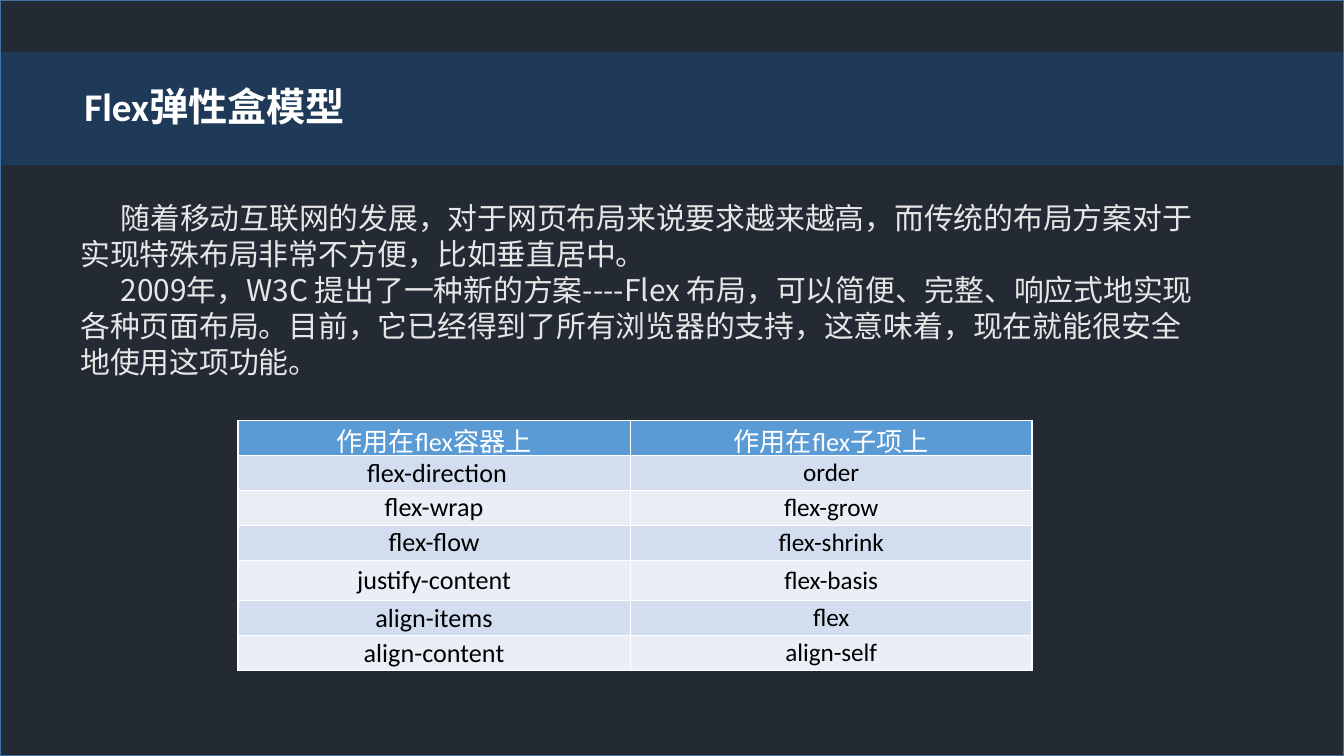
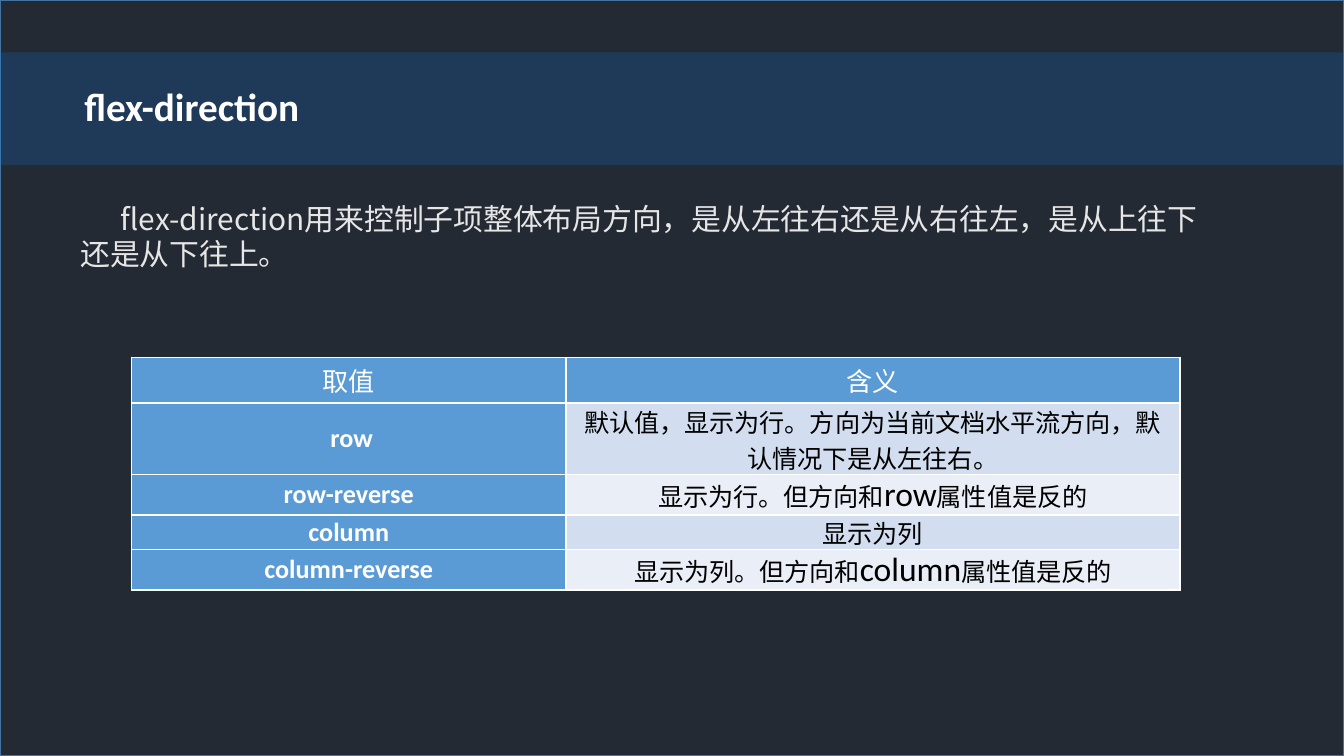
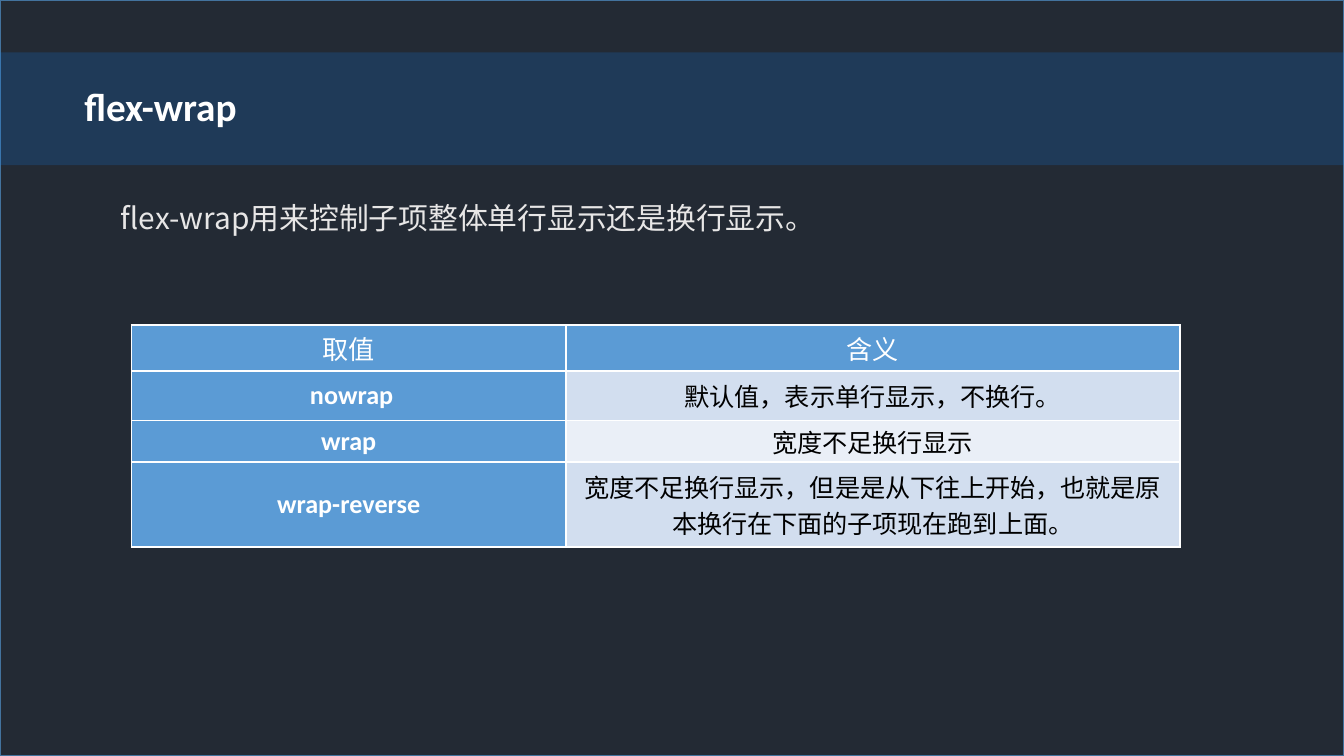
from lxml import etree
from pptx import Presentation
from pptx import util as u
from pptx.dml.color import RGBColor
from pptx.enum import shapes, text
from pptx.oxml import ns

# Content: "|" in a cell sets off a larger word
SLIDES = [
    dict(
        title="Flex弹性盒模型",
        body=[
            "随着移动互联网的发展，对于网页布局来说要求越来越高，而传统的布局方案对于实现特殊布局非常不方便，比如垂直居中。",
            "2009年，W3C 提出了一种新的方案----Flex 布局，可以简便、完整、响应式地实现各种页面布局。目前，它已经得到了所有浏览器的支持，这意味着，现在就能很安全地使用这项功能。",
        ],
        body_height=2.46,
        table_at=(1.77, 3.13),
        cols=[2.92, 2.99],
        heights=[0.26, 0.26, 0.26, 0.26, 0.3, 0.26, 0.26],
        key_column=False,
        rows=[
            ("作用在flex容器上", "作用在flex子项上"),
            (" flex-direction", "order"),
            ("flex-wrap", "flex-grow"),
            ("flex-flow", "flex-shrink"),
            ("justify-content", "flex-basis"),
            ("align-items", "flex"),
            ("align-content", "align-self"),
        ],
    ),
    dict(
        title="flex-direction",
        body=["flex-direction用来控制子项整体布局方向，是从左往右还是从右往左，是从上往下还是从下往上。"],
        body_height=1.31,
        table_at=(0.98, 2.66),
        cols=[3.23, 4.57],
        heights=[0.34, 0.53, 0.26, 0.26, 0.29],
        key_column=True,
        rows=[
            ("取值", "含义"),
            (" row", "默认值，显示为行。方向为当前文档水平流方向，默认情况下是从左往右。"),
            ("row-reverse", "显示为行。但方向和|row|属性值是反的"),
            ("column", "显示为列"),
            ("column-reverse", "显示为列。但方向和|column|属性值是反的"),
        ],
    ),
    dict(
        title="flex-wrap",
        body=["flex-wrap用来控制子项整体单行显示还是换行显示。"],
        body_height=1.04,
        table_at=(0.98, 2.42),
        cols=[3.23, 4.57],
        heights=[0.34, 0.37, 0.31, 0.63],
        key_column=True,
        rows=[
            ("取值", "含义"),
            (" nowrap", "默认值，表示单行显示，不换行。"),
            ("wrap", "宽度不足换行显示"),
            ("wrap-reverse", "宽度不足换行显示，但是是从下往上开始，也就是原本换行在下面的子项现在跑到上面。"),
        ],
    ),
]

# Shared style
WIDTH = 10
HEIGHT = WIDTH * 9 / 16
DARK, EDGE, BAND = "232A34", "43739E", "137EEC"
WHITE, BLACK, PALE = "FFFFFF", "000000", "E7E6E6"
HEAD, STRIPES = "5B9BD5", ("D2DEEF", "EAEFF7")
LATIN, CJK = "Calibri", "Noto Sans CJK SC"


def color(hex_value):
    return RGBColor.from_string(hex_value)


def add_run(p, content, size, fill, font=LATIN, bold=False):
    r = p.add_run()
    r.text = content
    r.font.size, r.font.bold, r.font.name = u.Pt(size), bold, font
    r.font.color.rgb = color(fill)
    etree.SubElement(r.font._element, ns.qn("a:ea"), typeface=CJK)


def add_text(s, box, paragraphs, indent=0, **style):
    tf = s.shapes.add_textbox(*map(u.Inches, box)).text_frame
    tf.word_wrap = True
    for i, content in enumerate(paragraphs):
        p = tf.add_paragraph() if i else tf.paragraphs[0]
        if indent:
            p._p.get_or_add_pPr().set("indent", str(u.Inches(indent)))
        add_run(p, content, **style)


def add_rect(s, box, fill, line=None, alpha=None):
    sp = s.shapes.add_shape(shapes.MSO_SHAPE.RECTANGLE, *map(u.Inches, box))
    sp.shadow.inherit = False
    sp.fill.solid()
    sp.fill.fore_color.rgb = color(fill)
    if alpha:
        clr = sp._element.spPr.find(".//" + ns.qn("a:srgbClr"))
        etree.SubElement(clr, ns.qn("a:alpha"), val=str(alpha * 1000))
    if line:
        sp.line.color.rgb = color(line)
        sp.line.width = u.Pt(1)
    else:
        sp.line.fill.background()


def add_borders(cell):
    tcPr = cell._tc.get_or_add_tcPr()
    for i, side in enumerate("LRTB"):
        ln = etree.Element(ns.qn("a:ln" + side), w=str(u.Pt(1)))
        fill = etree.SubElement(ln, ns.qn("a:solidFill"))
        etree.SubElement(fill, ns.qn("a:srgbClr"), val=WHITE)
        tcPr.insert(i, ln)


def add_table(s, at, cols, heights, rows, key_column):
    box = (*at, sum(cols), sum(heights))
    table = s.shapes.add_table(len(rows), len(cols), *map(u.Inches, box)).table
    table.first_row = table.horz_banding = False
    for column, width in zip(table.columns, cols):
        column.width = u.Inches(width)
    for i, (row, height) in enumerate(zip(rows, heights)):
        table.rows[i].height = u.Inches(height)
        for j, content in enumerate(row):
            cell = table.cell(i, j)
            is_key = key_column and i > 0 and j == 0
            is_head = i == 0 or is_key
            cell.fill.solid()
            cell.fill.fore_color.rgb = color(HEAD if is_head else STRIPES[(i - 1) % 2])
            cell.vertical_anchor = text.MSO_ANCHOR.MIDDLE
            cell.margin_left = cell.margin_right = u.Inches(0.12)
            cell.margin_top = cell.margin_bottom = 0
            add_borders(cell)
            p = cell.text_frame.paragraphs[0]
            p.alignment = text.PP_ALIGN.CENTER
            size = 14 if i == 0 or j == 0 else 13.5
            for k, part in enumerate(content.split("|")):
                add_run(p, part, 18 if k % 2 else size,
                        WHITE if is_head else BLACK, bold=is_key)


def add_slide(prs, data):
    s = prs.slides.add_slide(prs.slide_layouts[6])
    add_rect(s, (0, 0, WIDTH, HEIGHT), DARK, line=EDGE)
    add_rect(s, (0, 0.39, WIDTH, 0.84), BAND, alpha=20)
    add_text(s, (0.5, 1.44, 8.54, data["body_height"]), data["body"],
             indent=0.3, size=16, fill=PALE, font=CJK)
    add_text(s, (0.53, 0.56, 9.2, 0.45), [data["title"]],
             size=21, fill=WHITE, bold=True)
    add_table(s, data["table_at"], data["cols"], data["heights"],
              data["rows"], data["key_column"])


def main():
    prs = Presentation()
    prs.slide_width, prs.slide_height = u.Inches(WIDTH), u.Inches(HEIGHT)
    for data in SLIDES:
        add_slide(prs, data)
    prs.save("out.pptx")


if __name__ == "__main__":
    main()
